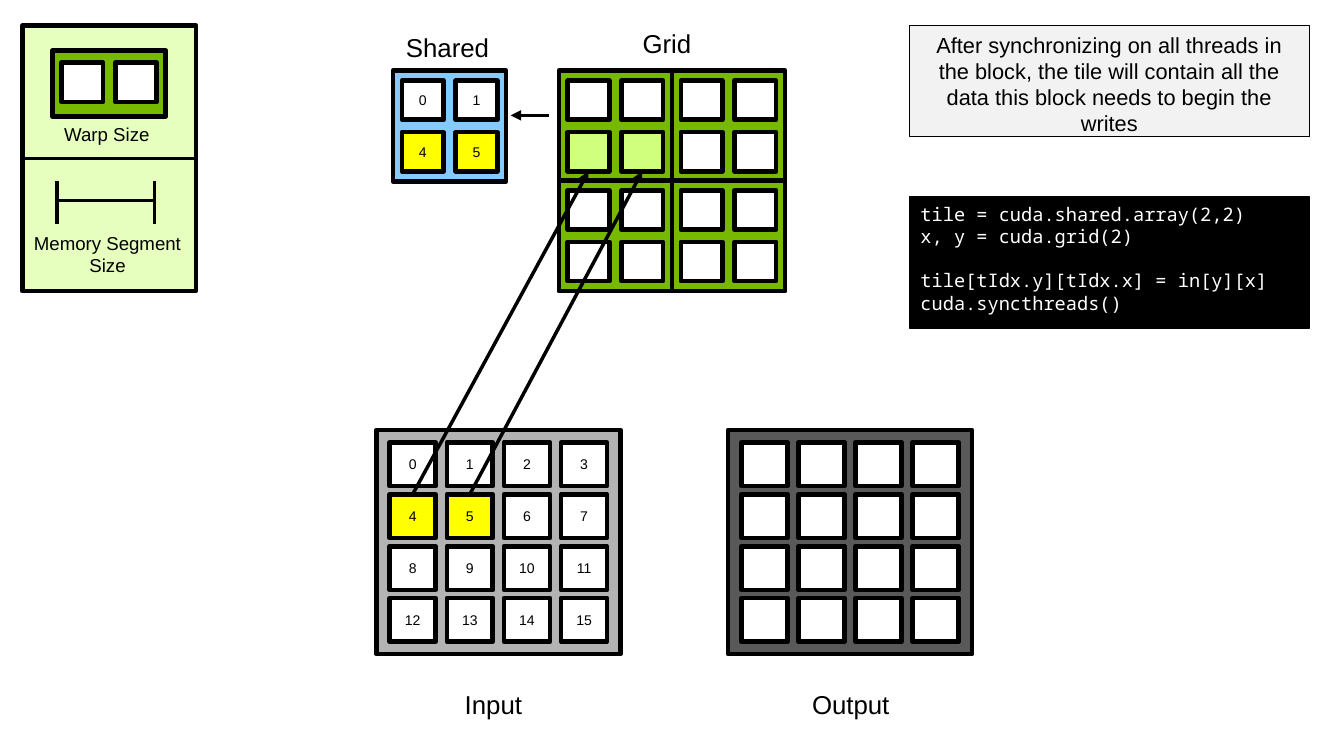
from dataclasses import dataclass
from typing import Optional

import pptx
import pptx.dml.color
import pptx.enum.shapes
import pptx.enum.text
import pptx.oxml
import pptx.oxml.ns
import pptx.util

ALIGN = pptx.enum.text.PP_ALIGN
ANCHOR = pptx.enum.text.MSO_ANCHOR
TOP, LEFT, BOTTOM, RIGHT = range(4)


@dataclass(frozen=True)
class Theme:
    sans: str = "Arial"
    mono: str = "Noto Sans Mono"
    heading: float = 16.6
    note: float = 14
    body: float = 12
    number: float = 9
    heavy: float = 3
    medium: float = 2.25
    light: float = 1.5
    hair: float = 0.75
    black: str = "000000"
    white: str = "FFFFFF"
    legend: str = "E7FFBE"
    block: str = "76B900"
    active: str = "D0FF7D"
    shared: str = "82CAFF"
    loaded: str = "FFFF00"
    input: str = "B3B3B3"
    output: str = "595959"
    note_fill: str = "F2F2F2"


@dataclass(frozen=True)
class Box:
    """A place on the slide grid, in columns and rows."""
    col: float
    row: float
    cols: float
    rows: float


@dataclass(frozen=True)
class Cells:
    """How square cells are spread evenly inside a panel."""
    across: int
    down: int
    cols: float
    rows: float
    margin_x: float
    margin_y: float


T = Theme()
WARP = Cells(2, 1, 0.37, 0.35, 0.08, 0.11)
BLOCK = Cells(2, 2, 0.37, 0.35, 0.08, 0.09)
ARRAY = Cells(4, 4, 0.41, 0.39, 0.12, 0.11)

prs = pptx.Presentation()
prs.slide_width = pptx.util.Inches(12)
prs.slide_height = pptx.util.Inches(6.75)
COL = prs.slide_width / 12
ROW = prs.slide_height / 6.75
s = prs.slides.add_slide(prs.slide_layouts[6])


def rgb(value: str):
    return pptx.dml.color.RGBColor.from_string(value)


def place(b: Box) -> list[int]:
    return [round(n) for n in (b.col * COL, b.row * ROW, b.cols * COL, b.rows * ROW)]


def rect(b: Box, fill: str, width: float = T.heavy):
    sp = s.shapes.add_shape(pptx.enum.shapes.MSO_SHAPE.RECTANGLE, *place(b))
    sp.shadow.inherit = False
    sp.fill.solid()
    sp.fill.fore_color.rgb = rgb(fill)
    sp.line.color.rgb = rgb(T.black)
    sp.line.width = pptx.util.Pt(width)
    return sp


def write(sp, text: str, size: float, color: str = T.black, font: str = T.sans,
          align=ALIGN.CENTER, anchor=ANCHOR.TOP, wrap: bool = True) -> None:
    tf = sp.text_frame
    tf.text = text
    tf.word_wrap = wrap
    tf.vertical_anchor = anchor
    for p in tf.paragraphs:
        p.alignment = align
        p.font.size = pptx.util.Pt(size)
        p.font.name = font
        p.font.color.rgb = rgb(color)


def label(b: Box, text: str, size: float, wrap: bool = False) -> None:
    write(s.shapes.add_textbox(*place(b)), text, size, wrap=wrap)


def line(start: tuple[float, float] = (0, 0), end: tuple[float, float] = (0, 0),
         width: float = T.medium, arrow: Optional[str] = None):
    """Draw a line; arrow is headEnd (at start) or tailEnd (at end)."""
    c = s.shapes.add_connector(
        pptx.enum.shapes.MSO_CONNECTOR.STRAIGHT,
        round(start[0] * COL), round(start[1] * ROW),
        round(end[0] * COL), round(end[1] * ROW))
    c.line.color.rgb = rgb(T.black)
    c.line.width = pptx.util.Pt(width)
    if arrow:
        ln = c.line._get_or_add_ln()
        ln.append(pptx.oxml.parse_xml(
            f'<a:{arrow} {pptx.oxml.ns.nsdecls("a")} type="triangle"/>'))
    c._element.spPr.append(pptx.oxml.parse_xml(
        f'<a:effectLst {pptx.oxml.ns.nsdecls("a")}/>'))
    return c


def join(first, first_side: int, second, second_side: int,
         width: float = T.medium, arrow: Optional[str] = None) -> None:
    c = line(width=width, arrow=arrow)
    c.begin_connect(first, first_side)
    c.end_connect(second, second_side)


def panel(b: Box, fill: str, cells: Cells, numbers: tuple[int, ...] = (),
          marked: tuple[int, ...] = (), mark: str = T.loaded) -> list:
    """Draw a panel and its cells; return the cells row by row."""
    rect(b, fill)
    step_x = (b.cols - 2 * cells.margin_x - cells.cols) / max(cells.across - 1, 1)
    step_y = (b.rows - 2 * cells.margin_y - cells.rows) / max(cells.down - 1, 1)
    drawn = []
    for i in range(cells.across * cells.down):
        row, col = divmod(i, cells.across)
        spot = Box(b.col + cells.margin_x + col * step_x,
                   b.row + cells.margin_y + row * step_y, cells.cols, cells.rows)
        sp = rect(spot, mark if i in marked else T.white)
        if numbers:
            write(sp, str(numbers[i]), T.number, anchor=ANCHOR.MIDDLE, wrap=False)
        drawn.append(sp)
    return drawn


# Legend
legend = rect(Box(0.2, 0.23, 1.55, 2.37), T.legend)
panel(Box(0.47, 0.45, 1.01, 0.59), T.block, WARP)
label(Box(0.45, 1.05, 1.01, 0.3), "Warp Size", T.body)
join(legend, LEFT, legend, RIGHT, T.light)
line((0.51, 1.79), (1.38, 1.79))
for x in (0.51, 1.38):
    line((x, 1.62), (x, 2))
label(Box(0.2, 2.02, 1.52, 0.5), "Memory Segment Size", T.body, wrap=True)

# Headings
for b, text in ((Box(3.52, 0.23, 0.95, 0.38), "Shared"),
                (Box(5.6, 0.2, 0.71, 0.38), "Grid"),
                (Box(4.01, 6.1, 0.79, 0.38), "Input"),
                (Box(7.12, 6.1, 0.95, 0.38), "Output")):
    label(b, text, T.heading)

# Shared tile and the grid of thread blocks
panel(Box(3.51, 0.63, 1.01, 0.99), T.shared, BLOCK, (0, 1, 4, 5), marked=(2, 3))
blocks = [panel(Box(4.99 + 1.01 * col, 0.63 + 0.98 * row, 1.01, 0.99), T.block, BLOCK,
                marked=(2, 3) if row == col == 0 else (), mark=T.active)
          for row in range(2) for col in range(2)]
line((4.9, 1.03), (4.56, 1.03), arrow="tailEnd")

# Input and output arrays
inputs = panel(Box(3.36, 3.84, 2.18, 2), T.input, ARRAY, tuple(range(16)), marked=(4, 5))
panel(Box(6.5, 3.84, 2.18, 2), T.output, ARRAY)

# Reads from the input by the active threads
for thread, value in ((2, 4), (3, 5)):
    join(blocks[0][thread], BOTTOM, inputs[value], TOP, arrow="headEnd")

# Explanation and code
note = rect(Box(8.12, 0.23, 3.57, 0.99), T.note_fill, T.hair)
write(note, "After synchronizing on all threads in the block, the tile will contain "
            "all the data this block needs to begin the writes", T.note)
code = rect(Box(8.12, 1.76, 3.57, 1.17), T.black, T.hair)
write(code, "tile = cuda.shared.array(2,2)\nx, y = cuda.grid(2)\n"
            "tile[tIdx.y][tIdx.x] = in[y][x]\ncuda.syncthreads()",
      T.body, T.white, T.mono, ALIGN.LEFT)
code.text_frame.paragraphs[2].space_before = pptx.util.Pt(14)

prs.save("out.pptx")
